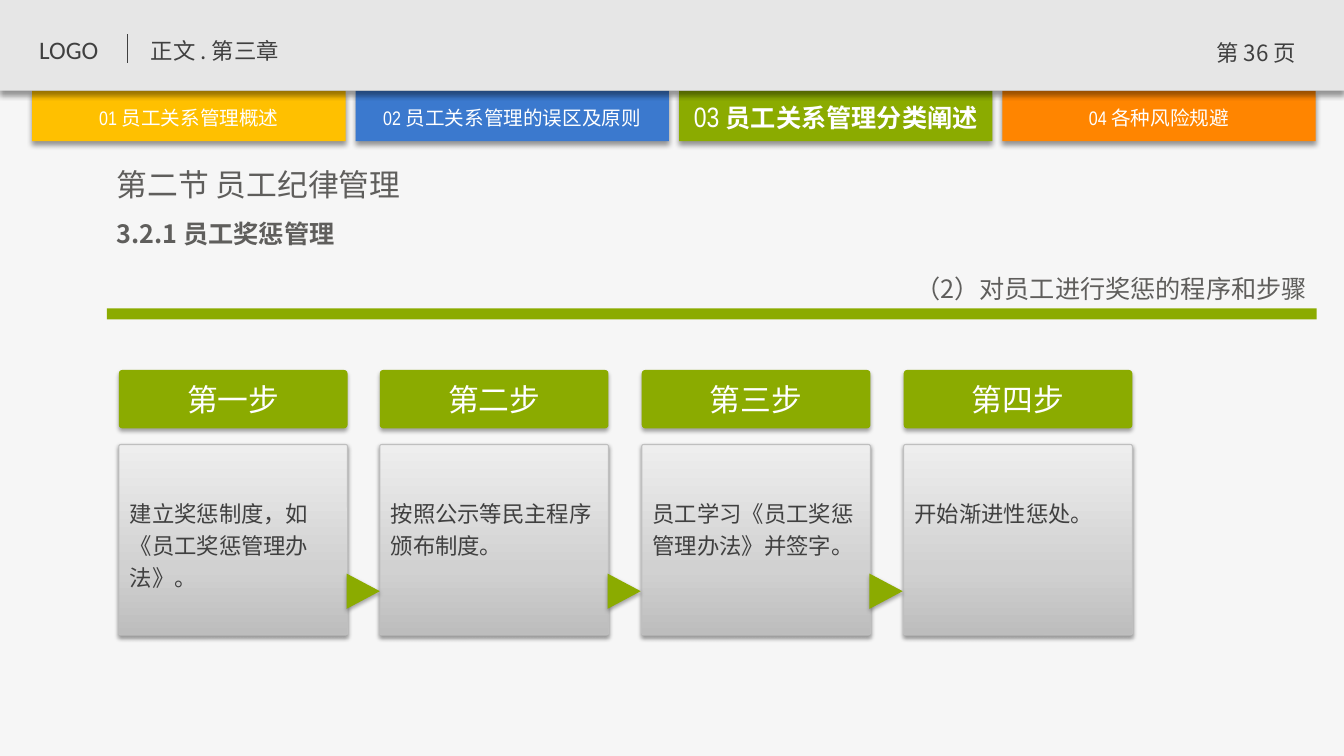
import copy
import dataclasses

import pptx
import pptx.dml.color
import pptx.enum.shapes
import pptx.enum.text
import pptx.oxml
import pptx.oxml.ns
import pptx.util
from lxml import etree

SHAPE = pptx.enum.shapes.MSO_SHAPE
ALIGN = pptx.enum.text.PP_ALIGN
ANCHOR = pptx.enum.text.MSO_ANCHOR
qn = pptx.oxml.ns.qn
SCALE = 9144


@dataclasses.dataclass(frozen=True)
class Theme:
    page: str = "F6F6F6"
    band: str = "E6E6E6"
    dark: str = "404040"
    gray: str = "5F5E5C"
    white: str = "FFFFFF"
    black: str = "000000"
    gold: str = "FFC000"
    blue: str = "3B79CE"
    green: str = "8BAB00"
    flame: str = "FF8500"
    edge: str = "BFBFBF"
    fade: tuple = ((0, "BDBDBD"), (0.35, "D1D1D1"), (1, "EEEEEE"))
    hard: tuple = (40, 4, 3)
    soft: tuple = (35, 3.1, 1.8)
    haze: tuple = (38, 3.1, 1.6)
    font: str = "Noto Sans CJK SC"
    slim: str = "Arial Narrow"
    logo: str = "Calibri"
    head: int = 22
    large: int = 20
    mid: int = 18
    body: int = 16
    small: int = 14


def px(*sizes):
    return [pptx.util.Emu(size * SCALE) for size in sizes]


def rgb(color):
    return pptx.dml.color.RGBColor.from_string(color)


def write(frame, *runs, font, color, size, bold=False, align=ALIGN.LEFT,
          anchor=ANCHOR.TOP, lead=1.0, pad=(10, 5), wrap=True):
    frame.auto_size = pptx.enum.text.MSO_AUTO_SIZE.NONE
    frame.word_wrap = wrap
    frame.vertical_anchor = anchor
    frame.margin_left = frame.margin_right = px(pad[0])[0]
    frame.margin_top = frame.margin_bottom = px(pad[1])[0]
    para = frame.paragraphs[0]
    para.alignment = align
    para.line_spacing = lead
    base = dict(font=font, size=size, bold=bold)
    for text, change in runs:
        look = {**base, **change}
        run = para.add_run()
        run.text = text
        run.font.name = look["font"]
        run.font.size = pptx.util.Pt(look["size"])
        run.font.bold = look["bold"]
        run.font.color.rgb = rgb(color)
        latin = run.font._element.find(qn("a:latin"))
        east = etree.Element(qn("a:ea"), typeface=font)
        latin.addnext(east)


class Deck:
    def __init__(self, theme):
        self.theme = theme
        self.file = pptx.Presentation()
        self.file.slide_width, self.file.slide_height = px(1334, 750)
        self.slide = self.file.slides.add_slide(self.file.slide_layouts[5])
        self.slide.background.fill.solid()
        self.slide.background.fill.fore_color.rgb = rgb(theme.page)

    def text(self, frame, runs, look):
        if isinstance(runs, str):
            runs = [(runs, {})]
        base = dict(font=self.theme.font, color=self.theme.dark, size=self.theme.body)
        write(frame, *runs, **{**base, **look})

    def title(self, area, text, **look):
        holder = self.slide.shapes.title
        holder.left, holder.top, holder.width, holder.height = px(*area)
        self.text(holder.text_frame, text, look)

    def label(self, area, runs, **look):
        box = self.slide.shapes.add_textbox(*px(*area))
        self.text(box.text_frame, runs, look)

    def shape(self, kind, area, fill=None, edge=None, shade=None, turn=0, curve=None):
        item = self.slide.shapes.add_shape(kind, *px(*area))
        item.rotation = turn
        if curve is not None:
            item.adjustments[0] = curve
        if fill:
            item.fill.solid()
            item.fill.fore_color.rgb = rgb(fill)
        else:
            self.blend(item)
        if edge:
            item.line.color.rgb = rgb(edge)
            item.line.width = pptx.util.Pt(0.75)
        else:
            item.line.fill.background()
        item.shadow.inherit = False
        if shade:
            self.shade(item, *shade)
        return item

    def blend(self, item):
        item.fill.gradient()
        item.fill.gradient_angle = 90
        stops = item._element.spPr.find(".//" + qn("a:gsLst"))
        stops.append(copy.deepcopy(stops[-1]))
        for stop, (place, color) in zip(item.fill.gradient_stops, self.theme.fade):
            stop.position = place
            stop.color.rgb = rgb(color)

    def shade(self, item, alpha, blur, drop):
        effects = item._element.spPr.find(qn("a:effectLst"))
        outer = etree.SubElement(
            effects, qn("a:outerShdw"), blurRad=str(int(blur * 12700)),
            dist=str(int(drop * 12700)), dir="5400000", algn="t", rotWithShape="0")
        color = etree.SubElement(outer, qn("a:srgbClr"), val=self.theme.black)
        etree.SubElement(color, qn("a:alpha"), val=str(alpha * 1000))

    def rule(self, ends, color):
        line = self.slide.shapes.add_connector(
            pptx.enum.shapes.MSO_CONNECTOR.STRAIGHT, *px(*ends))
        line.line.color.rgb = rgb(color)
        line.line.width = pptx.util.Pt(0.75)
        etree.SubElement(line._element.spPr, qn("a:effectLst"))


def draw_top(deck):
    theme = deck.theme
    tabs = [
        ("01", "员工关系管理概述", theme.gold),
        ("02", "员工关系管理的误区及原则", theme.blue),
        ("03", "员工关系管理分类阐述", theme.green),
        ("04", "各种风险规避", theme.flame),
    ]
    for i, (mark, name, fill) in enumerate(tabs):
        left = 32 + i * 321
        live = mark == "03"
        deck.shape(SHAPE.RECTANGLE, (left, 90, 311, 50), fill, shade=theme.hard)
        first = dict(font=theme.slim, size=theme.large if live else theme.small)
        deck.label((left, 98 if live else 100, 311, 34),
                   [(mark + " ", first), (name, dict(bold=live))],
                   size=theme.mid if live else theme.small, color=theme.white,
                   align=ALIGN.CENTER, anchor=ANCHOR.MIDDLE, pad=(0, 0))
    deck.shape(SHAPE.RECTANGLE, (0, 0, 1334, 90), theme.band, shade=theme.hard)
    deck.label((29, 29, 98, 40), "LOGO", font=theme.logo, size=theme.mid)
    deck.rule((127, 34, 127, 63), theme.dark)
    deck.label((140, 32, 327, 37), "正文 . 第三章")
    deck.label((1187, 34, 120, 40), "第 36 页", align=ALIGN.CENTER)


def draw_heads(deck):
    theme = deck.theme
    deck.title((106, 159, 544, 47), "第二节 员工纪律管理", size=theme.head, color=theme.gray)
    deck.label((106, 203, 577, 46), "3.2.1 员工奖惩管理", size=theme.mid,
               color=theme.gray, bold=True, lead=1.3)
    deck.label((879, 257, 428, 49), "（2）对员工进行奖惩的程序和步骤", size=theme.mid,
               color=theme.gray, align=ALIGN.RIGHT, lead=1.3)
    deck.shape(SHAPE.RECTANGLE, (106, 306, 1201, 11), theme.green)


def draw_steps(deck):
    theme = deck.theme
    steps = [
        ("第一步", "建立奖惩制度，如《员工奖惩管理办法》。"),
        ("第二步", "按照公示等民主程序颁布制度。"),
        ("第三步", "员工学习《员工奖惩管理办法》并签字。"),
        ("第四步", "开始渐进性惩处。"),
    ]
    lefts = [118 + i * 779 // 3 for i in range(len(steps))]
    for left, (name, note) in zip(lefts, steps):
        head = deck.shape(SHAPE.ROUNDED_RECTANGLE, (left, 367, 227, 58), theme.green,
                          shade=theme.soft, curve=0.06)
        deck.text(head.text_frame, name, dict(
            size=theme.head, color=theme.white, align=ALIGN.CENTER,
            anchor=ANCHOR.MIDDLE, wrap=False))
        deck.shape(SHAPE.ROUNDED_RECTANGLE, (left, 441, 227, 189), edge=theme.edge,
                   shade=theme.haze, curve=0.01)
        deck.label((left + 1, 486, 225, 104), note, lead=1.2)
    for left in lefts[:-1]:
        deck.shape(SHAPE.FLOWCHART_EXTRACT, (left + 225, 570, 35, 33), theme.green,
                   shade=theme.soft, turn=90)


def main():
    deck = Deck(Theme())
    draw_top(deck)
    draw_heads(deck)
    draw_steps(deck)
    deck.file.save("out.pptx")


if __name__ == "__main__":
    main()
